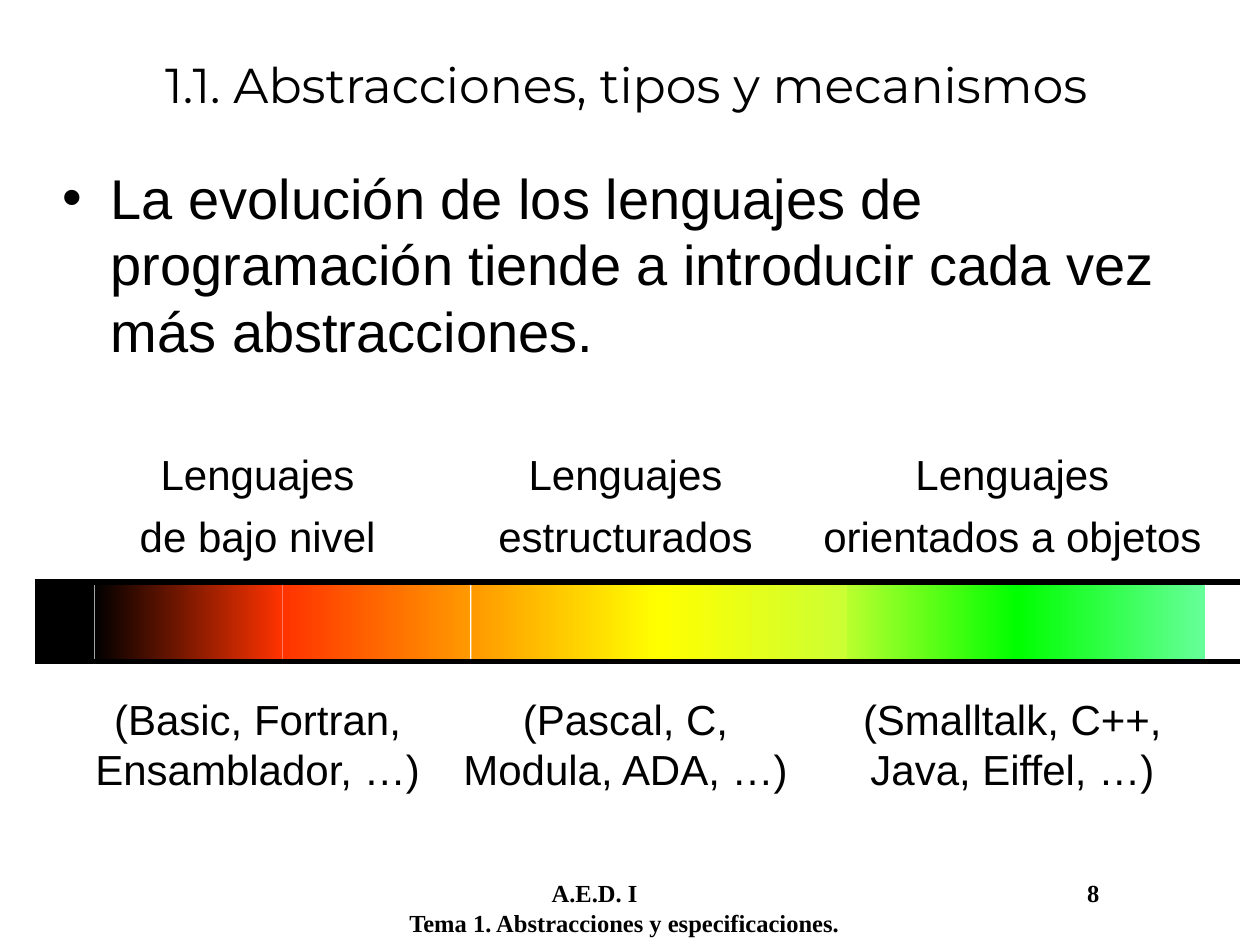
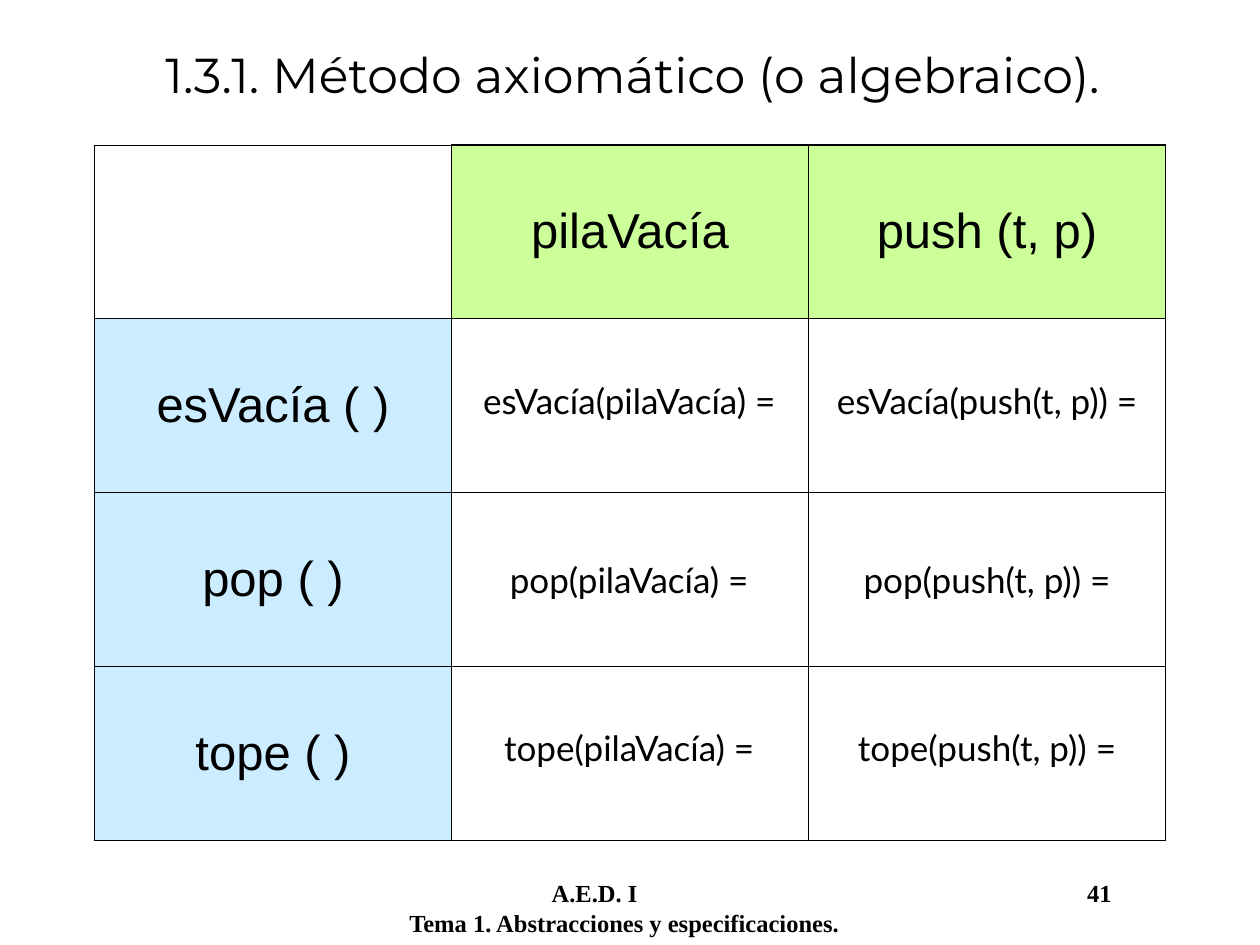
"""Builds two slides on abstraction in programming languages and the axiomatic method."""
from dataclasses import dataclass

from lxml import etree
from pptx import Presentation
from pptx.dml.color import RGBColor
from pptx.enum.shapes import MSO_CONNECTOR, MSO_SHAPE
from pptx.enum.text import MSO_ANCHOR, PP_ALIGN
from pptx.oxml.ns import qn
from pptx.util import Inches, Pt

LEFT, CENTER = PP_ALIGN.LEFT, PP_ALIGN.CENTER
TOP, MIDDLE = MSO_ANCHOR.TOP, MSO_ANCHOR.MIDDLE
RECTANGLE, STRAIGHT = MSO_SHAPE.RECTANGLE, MSO_CONNECTOR.STRAIGHT

BLACK, GREEN, BLUE = "000000", "CCFF99", "CCECFF"
BAND_TOP, BAND_HEIGHT = 4.62, 0.63
BAND_LEFT, BAND_RIGHT = 0.28, 9.84
SEGMENT_WIDTH = 1.49
THIN, THICK = 0.45, 1.08


@dataclass(frozen=True)
class Style:
    """Look of a block of text."""
    font: str
    size: float
    bold: bool = False
    align: PP_ALIGN = CENTER
    anchor: MSO_ANCHOR = TOP
    line: float | None = None
    gap: float = 0


@dataclass(frozen=True)
class Segment:
    """Gradient piece of the spectrum band."""
    left: float
    start: str
    end: str


@dataclass(frozen=True)
class Family:
    """Family of languages with its examples."""
    left: float
    name: str
    examples: str


TITLE = Style("Montserrat", 28, anchor=MIDDLE)
BODY = Style("Arial", 32, align=LEFT, line=38)
LABEL = Style("Arial", 24, line=29, gap=6)
HEADER = Style("Arial", 28, anchor=MIDDLE)
AXIOM = Style("Lato", 20)
FOOTER = Style("Times New Roman", 14, bold=True, align=LEFT)

SEGMENTS = [
    Segment(8.07, "00FF00", "66FF99"),
    Segment(6.58, "CCFF33", "00FF00"),
    Segment(5.23, "FFFF00", "CCFF33"),
    Segment(3.74, "FF9900", "FFFF00"),
    Segment(2.24, "FF3300", "FF9900"),
    Segment(0.75, "000000", "FF3300"),
]
FAMILIES = [
    Family(0.43, "Lenguajes\nde bajo nivel", "(Basic, Fortran, Ensamblador, …)"),
    Family(3.35, "Lenguajes\nestructurados", "(Pascal, C,\vModula, ADA, …)"),
    Family(6.42, "Lenguajes\norientados a objetos", "(Smalltalk, C++, Java, Eiffel, …)"),
]
CONSTRUCTORS = ["pilaVacía", "push (t, p)"]
ARGUMENTS = {3.58: "pilaVacía", 6.42: "push(t, p)"}
OPERATIONS = {"esVacía": 2.96, "pop": 4.38, "tope": 5.72}


def rgb(color: str) -> RGBColor:
    """Turn a hex string into a colour."""
    return RGBColor.from_string(color)


def write(tf, text: str, style: Style) -> None:
    """Put styled text into a text frame."""
    tf.text = text
    for i, p in enumerate(tf.paragraphs):
        p.alignment = style.align
        if style.line:
            p.line_spacing = Pt(style.line)
        if i and style.gap:
            p.space_before = Pt(style.gap)
        for r in p.runs:
            r.font.name = style.font
            r.font.size = Pt(style.size)
            r.font.bold = style.bold
            r.font.color.rgb = rgb(BLACK)


def add_text(s, left: float, top: float, width: float, height: float, text: str, style: Style):
    """Add a wrapping text box and return its text frame."""
    tf = s.shapes.add_textbox(Inches(left), Inches(top), Inches(width), Inches(height)).text_frame
    tf.word_wrap = True
    tf.vertical_anchor = style.anchor
    write(tf, text, style)
    return tf


def add_bullet(p, indent: float) -> None:
    """Give a paragraph a hanging round bullet."""
    pPr = p._p.get_or_add_pPr()
    pPr.set("marL", str(Inches(indent)))
    pPr.set("indent", str(-Inches(indent)))
    etree.SubElement(pPr, qn("a:buFont"), typeface="Arial")
    etree.SubElement(pPr, qn("a:buChar"), char="•")


def add_tabs(p, *stops: float) -> None:
    """Set left tab stops on a paragraph."""
    tabs = etree.SubElement(p._p.get_or_add_pPr(), qn("a:tabLst"))
    for stop in stops:
        etree.SubElement(tabs, qn("a:tab"), pos=str(Inches(stop)), algn="l")


def add_band_piece(s, left: float, width: float):
    """Add an unlined rectangle of the band."""
    sp = s.shapes.add_shape(RECTANGLE, Inches(left), Inches(BAND_TOP), Inches(width), Inches(BAND_HEIGHT))
    sp.shadow.inherit = False
    sp.line.fill.background()
    return sp


def add_segment(s, segment: Segment) -> None:
    """Add a piece that fades from left to right."""
    fill = add_band_piece(s, segment.left, SEGMENT_WIDTH).fill
    fill.gradient()
    fill.gradient_angle = 0
    for stop, color in zip(fill.gradient_stops, (segment.start, segment.end)):
        stop.color.rgb = rgb(color)


def add_edge(s, y: float) -> None:
    """Add a horizontal edge line of the band."""
    line = s.shapes.add_connector(STRAIGHT, Inches(BAND_LEFT), Inches(y), Inches(BAND_RIGHT), Inches(y))
    line.line.color.rgb = rgb(BLACK)
    line.line.width = Pt(3)
    etree.SubElement(line._element.spPr, qn("a:effectLst"))


def set_borders(cell, widths: dict[str, float]) -> None:
    """Draw black cell borders, in points by side."""
    tcPr = cell._tc.get_or_add_tcPr()
    for i, (side, width) in enumerate(widths.items()):
        ln = etree.Element(qn(f"a:ln{side}"), w=str(Pt(width)))
        fill = etree.SubElement(ln, qn("a:solidFill"))
        etree.SubElement(fill, qn("a:srgbClr"), val=BLACK)
        tcPr.insert(i, ln)


def add_stack_table(s) -> None:
    """Add the grid of stack operations against constructors."""
    names = [f"{name} ( )" for name in OPERATIONS]
    rows, cols = len(names) + 1, len(CONSTRUCTORS) + 1
    table = s.shapes.add_table(rows, cols, Inches(0.75), Inches(1.15), Inches(8.5), Inches(5.52)).table
    table.first_row = table.horz_banding = False
    for r in range(rows):
        for c in range(cols):
            cell = table.cell(r, c)
            cell.vertical_anchor = MIDDLE
            if (r == 0) != (c == 0):
                cell.fill.solid()
                cell.fill.fore_color.rgb = rgb(BLUE if c == 0 else GREEN)
                write(cell.text_frame, names[r - 1] if c == 0 else CONSTRUCTORS[c - 1], HEADER)
            else:
                cell.fill.background()
            outer = {
                "L": c == 0 and r > 0,
                "R": c == cols - 1,
                "T": r == 0 and c > 0,
                "B": r == rows - 1,
            }
            set_borders(cell, {side: THICK if thick else THIN for side, thick in outer.items()})


def add_slide(prs, number: int, title: str, left: float, top: float):
    """Add a slide with its title and footer."""
    s = prs.slides.add_slide(prs.slide_layouts[6])
    footer = f"\tA.E.D. I\t{number}\nTema 1. Abstracciones y especificaciones."
    tf = add_text(s, 3.15, 6.92, 6.64, 0.42, footer, FOOTER)
    add_tabs(tf.paragraphs[0], 1.13, 5.38)
    add_text(s, left, top, 9.5, 0.75, title, TITLE)
    return s


def build_evolution(prs) -> None:
    """Build the slide on the evolution of languages."""
    s = add_slide(prs, 8, "1.1. Abstracciones, tipos y mecanismos", 0.22, 0.29)
    tf = add_text(
        s, 0.43, 1.23, 9.04, 1.97,
        "La evolución de los lenguajes de programación tiende a introducir cada vez más abstracciones.",
        BODY,
    )
    tf.margin_left = tf.margin_top = Inches(0.07)
    add_bullet(tf.paragraphs[0], 0.38)
    for segment in SEGMENTS:
        add_segment(s, segment)
    for y in (BAND_TOP, BAND_TOP + BAND_HEIGHT):
        add_edge(s, y)
    sp = add_band_piece(s, BAND_LEFT, 0.47)
    sp.fill.solid()
    sp.fill.fore_color.rgb = rgb(BLACK)
    for family in FAMILIES:
        add_text(s, family.left, 3.51, 3.23, 1, family.name, LABEL)
        add_text(s, family.left, 5.45, 3.23, 0.9, family.examples, LABEL)


def build_axioms(prs) -> None:
    """Build the slide on the axiomatic method."""
    s = add_slide(prs, 41, "1.3.1. Método axiomático (o algebraico).", 0.27, 0.21)
    add_stack_table(s)
    for operation, top in OPERATIONS.items():
        for left, argument in ARGUMENTS.items():
            add_text(s, left, top, 2.83, 0.44, f"{operation}({argument}) =", AXIOM)


def main() -> None:
    """Build and save the presentation."""
    prs = Presentation()
    prs.slide_width, prs.slide_height = Inches(10), Inches(7.5)
    build_evolution(prs)
    build_axioms(prs)
    prs.save("out.pptx")


if __name__ == "__main__":
    main()
